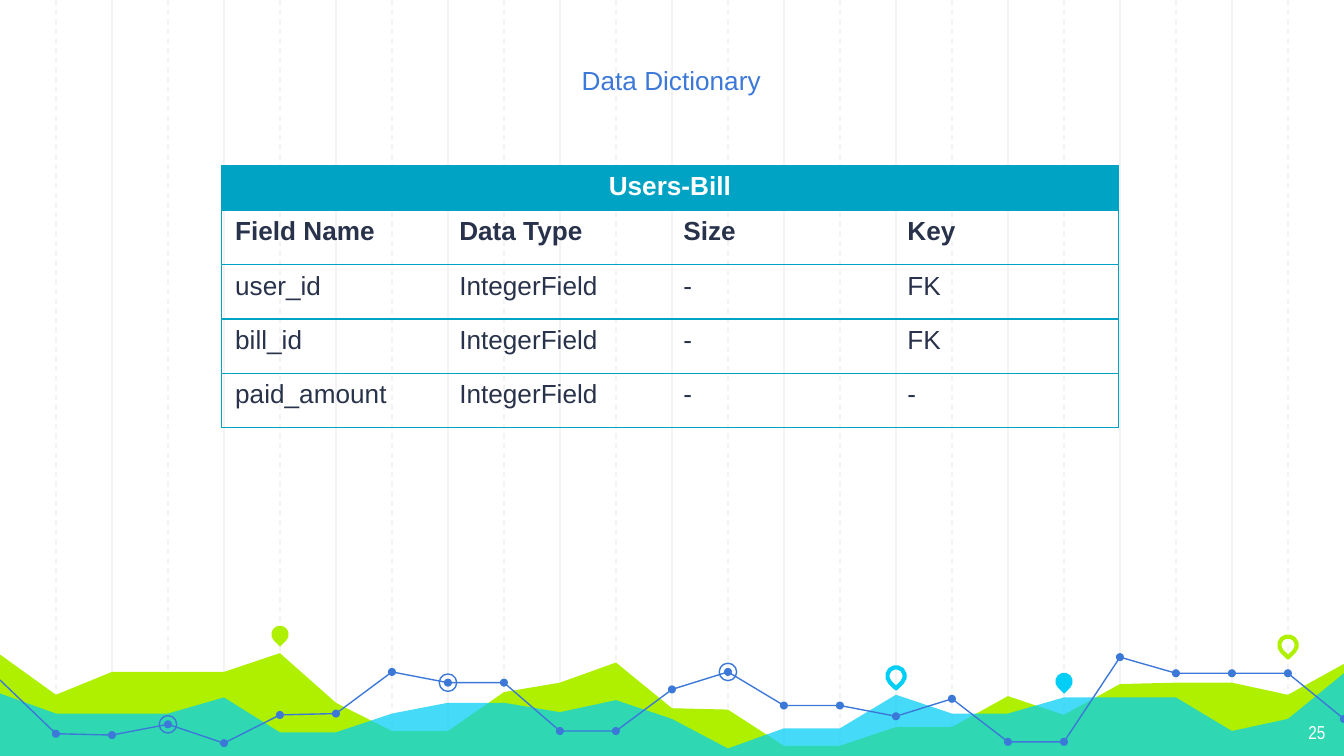
from lxml.etree import SubElement
from pptx import Presentation
from pptx.dml.color import RGBColor
from pptx.enum.dml import MSO_LINE
from pptx.enum.shapes import MSO_CONNECTOR, MSO_SHAPE
from pptx.enum.text import MSO_ANCHOR, PP_ALIGN
from pptx.oxml.ns import qn
from pptx.util import Inches, Pt

WHITE = RGBColor(0xFF, 0xFF, 0xFF)
GRID = RGBColor(0xF3, 0xF3, 0xF3)
LIME = RGBColor(0xAF, 0xF0, 0x00)
CYAN = RGBColor(0x00, 0xCE, 0xF6)
BLUE = RGBColor(0x3C, 0x78, 0xD8)
TEAL = RGBColor(0x00, 0xA3, 0xC4)
NAVY = RGBColor(0x28, 0x32, 0x4A)

WIDTH = 10
HEIGHT = WIDTH * 9 / 16
STEPS = 24
NO_STYLE = "{2D5ABB26-0587-4C30-8999-92F81FD0307C}"

LIME_AREA = [.27, .57, .4, .4, .4, .26, .63, .84, .84, .55, .48, .33, .67,
             .68, .95, .95, .81, .81, .58, .72, .49, .48, .48, .57, .34]
CYAN_AREA = [.56, .71, .71, .71, .59, .85, .85, .71, .63, .63, .7, .61, .75,
             .97, .82, .82, .57, .71, .71, .59, .59, .59, .84, .75, .41]
TREND = [.46, .86, .87, .79, .93, .72, .71, .4, .48, .48, .84, .84, .53,
         .4, .65, .65, .73, .6, .92, .92, .29, .41, .41, .41, .75]
TREND_BREAKS = [0, 11, 20, 24]
RINGED_STEPS = [3, 8, 13]
PINS = [(5, .12, LIME, True), (16, .43, CYAN, False),
        (19, .47, CYAN, True), (23, .2, LIME, False)]

BILL_FIELDS = [
    ["Field Name", "Data Type", "Size", "Key"],
    ["user_id", "IntegerField", "-", "FK"],
    ["bill_id", "IntegerField", "-", "FK"],
    ["paid_amount", "IntegerField", "-", "-"],
]


def paint(shape, fill=None, line=None, weight=0.75):
    shape.shadow.inherit = False
    if fill is None:
        shape.fill.background()
    else:
        shape.fill.solid()
        shape.fill.fore_color.rgb = fill
    if line is None:
        shape.line.fill.background()
    else:
        shape.line.color.rgb = line
        shape.line.width = Pt(weight)


def style_text(paragraph, size, color, font="Arial", bold=False, align=None):
    paragraph.alignment = align
    for run in paragraph.runs:
        run.font.name, run.font.size, run.font.bold = font, Pt(size), bold
        run.font.color.rgb = color


def add_grid(slide, left, top, width, height):
    for step in range(1, STEPS):
        x = Inches(left + width * step / STEPS)
        rule = slide.shapes.add_connector(
            MSO_CONNECTOR.STRAIGHT, x, Inches(top), x, Inches(top + height))
        rule.line.color.rgb = GRID
        rule.line.width = Pt(0.75)
        if step % 2:
            rule.line.dash_style = MSO_LINE.DASH
        SubElement(rule.element.spPr, qn("a:effectLst"))


def add_path(slide, points, closed):
    start, *rest = [(Inches(x), Inches(y)) for x, y in points]
    builder = slide.shapes.build_freeform(*start)
    builder.add_line_segments(rest, close=closed)
    return builder.convert_to_shape()


def add_marker(slide, kind, center, size):
    x, y = center
    return slide.shapes.add_shape(
        kind, Inches(x - size / 2), Inches(y - size / 2), Inches(size), Inches(size))


def add_chart_band(slide, left, top, width, height):
    def place(step, y):
        return left + width * step / STEPS, top + y

    corners = [place(STEPS, height), place(0, height)]
    for heights, color in ((LIME_AREA, LIME), (CYAN_AREA, CYAN)):
        ridge = [place(*point) for point in enumerate(heights)]
        area = add_path(slide, ridge + corners, True)
        paint(area, color)
    tint = area.element.spPr.find(qn("a:solidFill"))[0]
    SubElement(tint, qn("a:alpha"), val="73000")

    trend = [place(*point) for point in enumerate(TREND)]
    for first, last in zip(TREND_BREAKS, TREND_BREAKS[1:]):
        paint(add_path(slide, trend[first:last + 1], False), line=BLUE)
    for point in trend[1:]:
        paint(add_marker(slide, MSO_SHAPE.OVAL, point, 0.06), BLUE)
    for step in RINGED_STEPS:
        paint(add_marker(slide, MSO_SHAPE.OVAL, trend[step], 0.13), line=BLUE)

    for step, y, color, filled in PINS:
        pin = add_marker(slide, MSO_SHAPE.TEAR, place(step, y), 0.13)
        pin.rotation = 135
        if filled:
            paint(pin, color)
        else:
            paint(pin, line=color, weight=2.25)


def add_page_number(slide, left, top, width, height):
    number = slide.shapes.add_textbox(
        Inches(left), Inches(top), Inches(width), Inches(height))
    frame = number.text_frame
    frame.word_wrap = True
    frame.margin_top = frame.margin_bottom = Inches(0.1)
    frame.text = "25"
    style_text(frame.paragraphs[0], 10, WHITE, "Arial Narrow", align=PP_ALIGN.RIGHT)


def set_borders(cell, sides):
    properties = cell._tc.get_or_add_tcPr()
    for index, side in enumerate(sides):
        border = properties.makeelement(qn(f"a:ln{side}"), {"w": str(Pt(0.75))})
        fill = SubElement(border, qn("a:solidFill"))
        SubElement(fill, qn("a:srgbClr"), val=str(TEAL))
        properties.insert(index, border)


def add_bill_table(slide, left, top, width, height):
    header_height = 0.22
    columns = len(BILL_FIELDS[0])
    table = slide.shapes.add_table(
        len(BILL_FIELDS) + 1, columns, Inches(left), Inches(top),
        Inches(width), Inches(height)).table
    table.first_row = table.horz_banding = False
    table._tbl.tblPr.find(qn("a:tableStyleId")).text = NO_STYLE
    for column in table.columns:
        column.width = Inches(width / columns)
    for index, row in enumerate(table.rows):
        row.height = Inches(
            (height - header_height) / len(BILL_FIELDS) if index else header_height)

    heading = table.cell(0, 0)
    heading.merge(table.cell(0, columns - 1))
    heading.text_frame.text = "Users-Bill"
    style_text(heading.text_frame.paragraphs[0], 14, WHITE, bold=True,
               align=PP_ALIGN.CENTER)
    heading.fill.solid()
    heading.fill.fore_color.rgb = TEAL
    set_borders(heading, "LRT")

    for r, values in enumerate(BILL_FIELDS, 1):
        for c, value in enumerate(values):
            cell = table.cell(r, c)
            cell.text_frame.text = value
            style_text(cell.text_frame.paragraphs[0], 14, NAVY, bold=r == 1)
            cell.fill.background()
            edges = ("L" if c == 0 else "") + ("R" if c == columns - 1 else "")
            set_borders(cell, edges + "TB")


def place_title(slide, left, top, width, height):
    title = slide.shapes.title
    title.left, title.top = Inches(left), Inches(top)
    title.width, title.height = Inches(width), Inches(height)
    frame = title.text_frame
    frame.text = "Data Dictionary"
    frame.vertical_anchor = MSO_ANCHOR.BOTTOM
    frame.margin_top = frame.margin_bottom = Inches(0.1)
    style_text(frame.paragraphs[0], 14, BLUE, align=PP_ALIGN.CENTER)
    slide.shapes.element.append(title.element)


def main():
    deck = Presentation()
    deck.slide_width, deck.slide_height = Inches(WIDTH), Inches(HEIGHT)
    slide = deck.slides.add_slide(deck.slide_layouts[5])
    add_grid(slide, 0, 0, WIDTH, 5.65)
    add_chart_band(slide, 0, 4.6, WIDTH, 1.05)
    add_page_number(slide, 9.36, 5.28, 0.6, 0.35)
    add_bill_table(slide, 1.65, 1.23, 6.67, 1.84)
    place_title(slide, 1.17, 0.36, 7.65, 0.45)
    deck.save("out.pptx")


if __name__ == "__main__":
    main()
